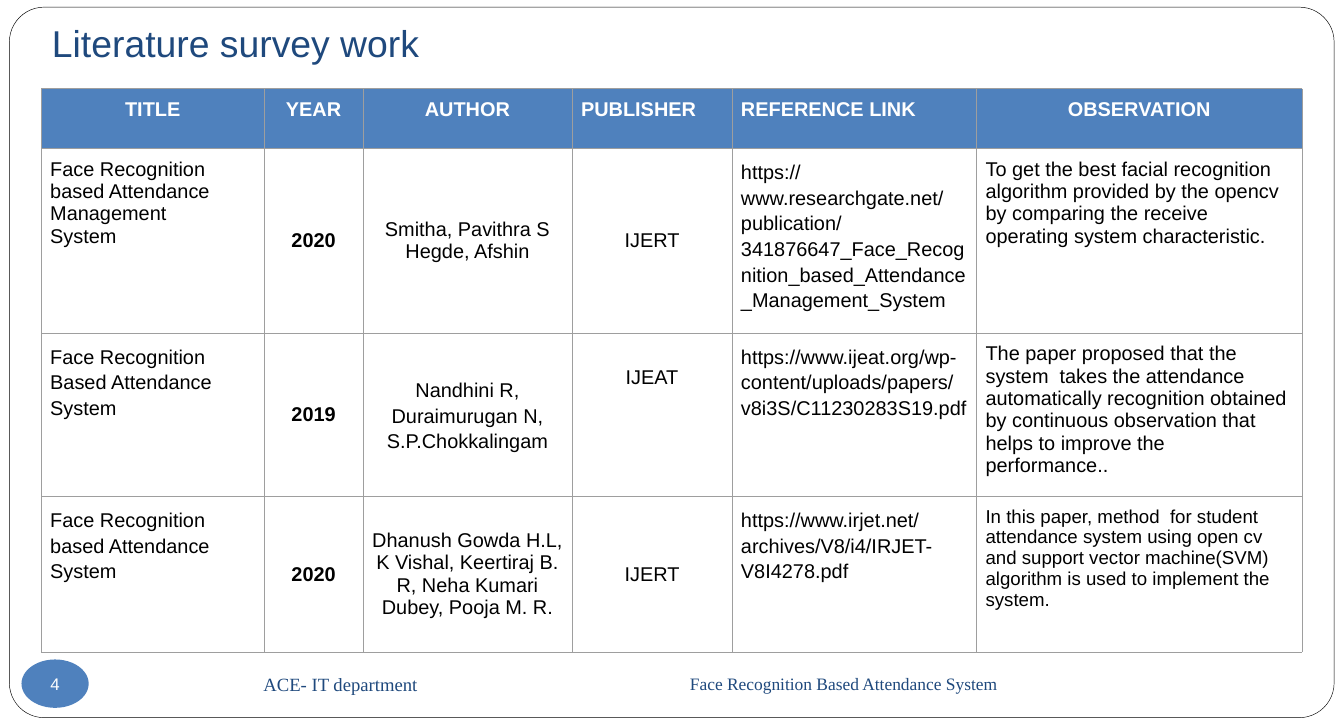
"""Build the literature survey slide with its table of papers."""
from lxml import etree
from pptx import Presentation
from pptx.dml.color import RGBColor
from pptx.enum.shapes import MSO_SHAPE
from pptx.enum.text import MSO_ANCHOR, PP_ALIGN
from pptx.oxml.ns import qn
from pptx.util import Inches, Pt

LEFT, CENTER = PP_ALIGN.LEFT, PP_ALIGN.CENTER
TOP, MIDDLE, BOTTOM = MSO_ANCHOR.TOP, MSO_ANCHOR.MIDDLE, MSO_ANCHOR.BOTTOM
ROUNDED, OVAL = MSO_SHAPE.ROUNDED_RECTANGLE, MSO_SHAPE.OVAL

WHITE = RGBColor(0xFF, 0xFF, 0xFF)
BLACK = RGBColor(0, 0, 0)
NAVY = RGBColor(0x1F, 0x49, 0x7D)
BLUE = RGBColor(0x4F, 0x81, 0xBD)
GRID = RGBColor(0x9E, 0x9E, 0x9E)

TITLE = "Literature survey work"
PAGE_NUMBER = "4"
FOOTERS = [
    ("ACE- IT department", 30, 5.68, 9),
    ("Face Recognition Based Attendance System", 28, 15.2, 12.62),
]
COLUMNS = [
    ("TITLE", 4.98, CENTER),
    ("YEAR", 2.2, CENTER),
    ("AUTHOR", 4.67, CENTER),
    ("PUBLISHER", 3.57, LEFT),
    ("REFERENCE LINK", 5.46, LEFT),
    ("OBSERVATION", 7.26, CENTER),
]
ROW_HEIGHTS = [1.33, 3.46, 3.65, 3.47]
PAPERS = [
    [
        "Face Recognition based Attendance Management\nSystem",
        "2020",
        "Smitha, Pavithra S Hegde, Afshin",
        "IJERT",
        "https://www.researchgate.net/publication/"
        "341876647_Face_Recognition_based_Attendance_Management_System",
        "To get the best facial recognition algorithm provided by the opencv "
        "by comparing the receive operating system characteristic.",
    ],
    [
        "Face Recognition Based Attendance System",
        "2019",
        "Nandhini R, Duraimurugan N, S.P.Chokkalingam",
        "IJEAT",
        "https://www.ijeat.org/wp-content/uploads/papers/v8i3S/C11230283S19.pdf",
        "The paper proposed that the system  takes the attendance automatically "
        "recognition obtained by continuous observation that helps to improve "
        "the performance..",
    ],
    [
        "Face Recognition based Attendance System",
        "2020",
        "Dhanush Gowda H.L, K Vishal, Keertiraj B. R, Neha Kumari Dubey, Pooja M. R.",
        "IJERT",
        "https://www.irjet.net/archives/V8/i4/IRJET-V8I4278.pdf",
        "In this paper, method  for student attendance system using open cv and "
        "support vector machine(SVM) algorithm is used to implement the system.",
    ],
]
COLUMN_FORMATS = [
    {"spacing": 1.15},
    {"align": CENTER, "bold": True},
    {"align": CENTER},
    {"align": CENTER},
    {"spacing": 1.15},
    {},
]
COLUMN_ANCHORS = [TOP, MIDDLE, MIDDLE, MIDDLE, TOP, TOP]
CELL_FORMATS = {
    (1, 0): {"spacing": 1.0},
    (2, 2): {"spacing": 1.15},
    (3, 5): {"size": 30},
}
LOWERED_CELL = (2, 3)


def write(frame, text, size=32, color=BLACK, font="Arial", bold=False,
          align=LEFT, spacing=1.0):
    """Fill a text frame, one paragraph for each line."""
    frame.word_wrap = True
    for index, line in enumerate(text.split("\n")):
        para = frame.paragraphs[0] if index == 0 else frame.add_paragraph()
        para.alignment = align
        para.line_spacing = spacing
        span = para.add_run()
        span.text = line
        span.font.size = Pt(size)
        span.font.name = font
        span.font.bold = bold
        span.font.color.rgb = color


def place(target, anchor, left, top, right, bottom):
    """Set the anchor and margins of a text frame or table cell."""
    target.vertical_anchor = anchor
    target.margin_left, target.margin_top = Inches(left), Inches(top)
    target.margin_right, target.margin_bottom = Inches(right), Inches(bottom)


def add_text(page, area, text, anchor, margins, **text_format):
    """Add a text box."""
    box = page.shapes.add_textbox(*map(Inches, area))
    place(box.text_frame, anchor, *margins)
    write(box.text_frame, text, **text_format)


def add_panel(page, kind, area, color):
    """Add a filled shape without line or shadow."""
    shape = page.shapes.add_shape(kind, *map(Inches, area))
    shape.shadow.inherit = False
    shape.fill.solid()
    shape.fill.fore_color.rgb = color
    shape.line.fill.background()
    return shape


def add_borders(cell):
    """Draw a thin grey line on each side of a cell."""
    properties = cell._tc.get_or_add_tcPr()
    for index, side in enumerate(("a:lnL", "a:lnR", "a:lnT", "a:lnB")):
        line = etree.Element(qn(side), w=str(Pt(0.75)))
        fill = etree.SubElement(line, qn("a:solidFill"))
        etree.SubElement(fill, qn("a:srgbClr"), val=str(GRID))
        properties.insert(index, line)


def add_survey(page):
    """Add the table of papers."""
    widths = [width for _, width, _ in COLUMNS]
    area = (0.92, 1.98, sum(widths), sum(ROW_HEIGHTS))
    table = page.shapes.add_table(
        len(ROW_HEIGHTS), len(COLUMNS), *map(Inches, area)).table
    table.horz_banding = False
    for column, width in zip(table.columns, widths):
        column.width = Inches(width)
    for row, height in zip(table.rows, ROW_HEIGHTS):
        row.height = Inches(height)

    for c, (heading, _, align) in enumerate(COLUMNS):
        cell = table.cell(0, c)
        place(cell, TOP, 0.2, 0.22, 0.2, 0.22)
        write(cell.text_frame, heading, color=WHITE, bold=True, align=align)
        cell.fill.solid()
        cell.fill.fore_color.rgb = BLUE
        add_borders(cell)

    for r, paper in enumerate(PAPERS, start=1):
        for c, text in enumerate(paper):
            cell = table.cell(r, c)
            lowered = (r, c) == LOWERED_CELL
            place(cell, TOP if lowered else COLUMN_ANCHORS[c],
                  0.2, 0.75 if lowered else 0.22, 0.2, 0.22)
            write(cell.text_frame, text,
                  **{**COLUMN_FORMATS[c], **CELL_FORMATS.get((r, c), {})})
            cell.fill.background()
            add_borders(cell)


def main():
    """Build and save the deck."""
    deck = Presentation()
    deck.slide_width, deck.slide_height = Inches(30), Inches(16.25)
    page = deck.slides.add_slide(deck.slide_layouts[6])

    border = add_panel(page, ROUNDED, (0.21, 0.16, 29.57, 15.86), WHITE)
    border.adjustments[0] = 0.049
    border.line.color.rgb = BLACK
    border.line.width = Pt(0.75)

    add_text(page, (0.96, 0.35, 25.5, 1.3), TITLE, BOTTOM,
             (0.2, 0.1, 0.2, 0.2), size=60, color=NAVY)

    badge = add_panel(page, OVAL, (0.48, 14.72, 1.5, 1.08), BLUE)
    place(badge.text_frame, MIDDLE, 0, 0, 0, 0)
    write(badge.text_frame, PAGE_NUMBER, size=27, color=WHITE, align=CENTER)

    add_survey(page)

    for text, size, left, width in FOOTERS:
        add_text(page, (left, 14.72, width, 1.08), text, MIDDLE,
                 (0.2, 0.1, 0.2, 0.1), size=size, color=NAVY,
                 font="Times New Roman")

    deck.save("out.pptx")


if __name__ == "__main__":
    main()
